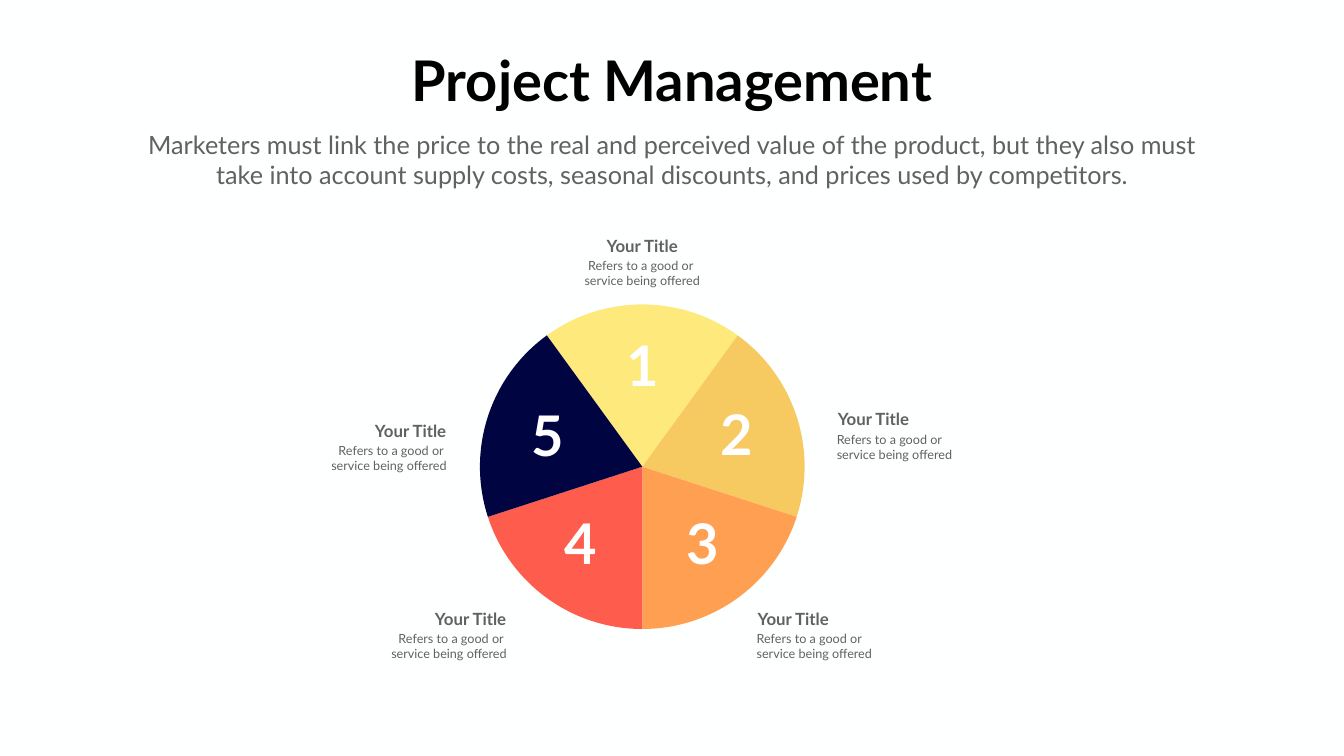
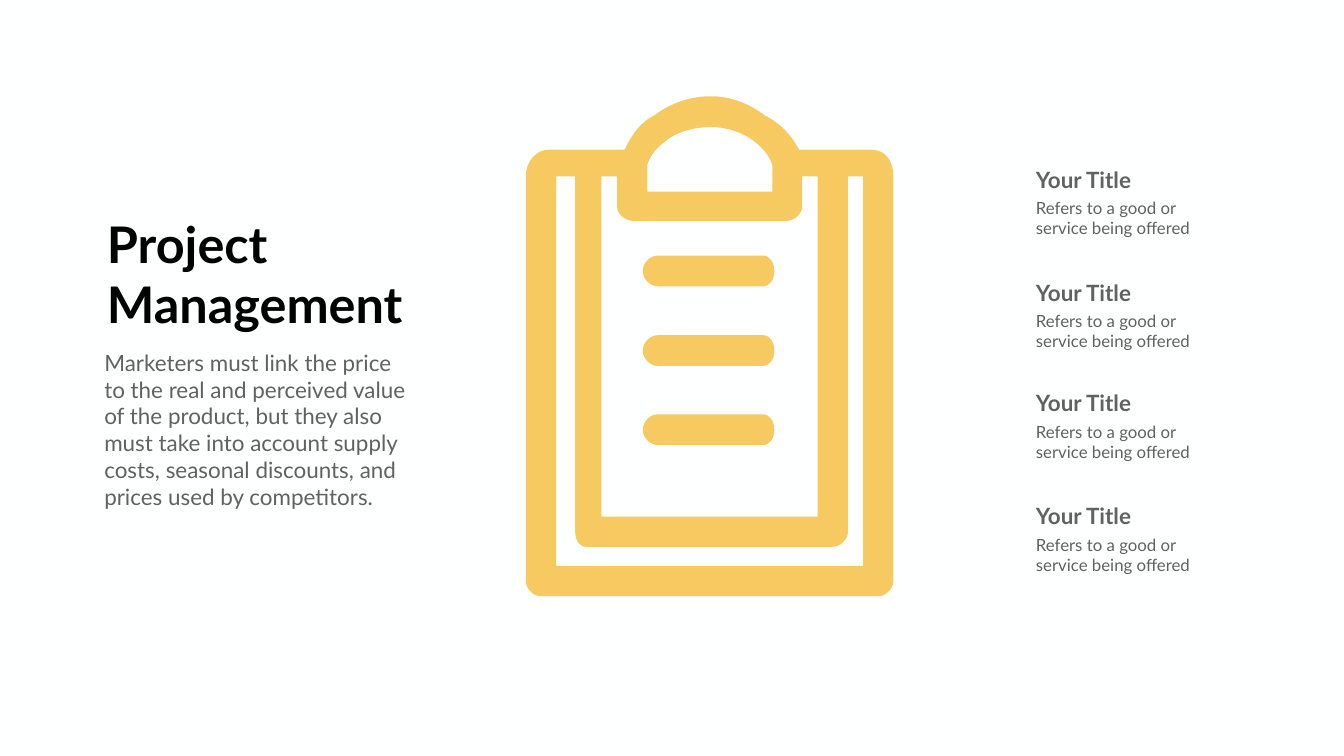
from math import cos, sin, tan, radians

from pptx import Presentation
from pptx.dml.color import RGBColor
from pptx.enum.text import MSO_ANCHOR, MSO_AUTO_SIZE, PP_ALIGN
from pptx.oxml.ns import qn
from pptx.util import Inches, Pt

FONT = "Lato"
BACKGROUND = RGBColor(0xFE, 0xFF, 0xFF)
BLACK = RGBColor(0x00, 0x00, 0x00)
WHITE = RGBColor(0xFF, 0xFF, 0xFF)
GREY = RGBColor(0x61, 0x61, 0x61)
YELLOW = RGBColor(0xFE, 0xEA, 0x7C)
GOLD = RGBColor(0xF7, 0xCA, 0x61)
ORANGE = RGBColor(0xFF, 0x9F, 0x52)
RED = RGBColor(0xFE, 0x5D, 0x4D)
NAVY = RGBColor(0x00, 0x05, 0x42)
LEFT, CENTER, RIGHT = PP_ALIGN.LEFT, PP_ALIGN.CENTER, PP_ALIGN.RIGHT

INTRO = ("Marketers must link the price to the real and perceived value of the product, "
         "but they also must take into account supply costs, seasonal discounts, "
         "and prices used by competitors.")
LABEL = "Your Title"
DETAIL = ["Refers to a good or", "service being offered"]
SPACED_DETAIL = ["Refers to a good or ", "service being offered"]


def write(shapes, box, lines, size, color=GREY, bold=False, align=LEFT, wrap=True, title=False):
    box = [Inches(v) for v in box]
    sp = shapes.title if title else shapes.add_textbox(*box)
    sp.left, sp.top, sp.width, sp.height = box
    tf = sp.text_frame
    tf.word_wrap = wrap
    tf.auto_size = MSO_AUTO_SIZE.SHAPE_TO_FIT_TEXT
    tf.vertical_anchor = MSO_ANCHOR.TOP
    for i, line in enumerate(lines):
        p = tf.paragraphs[0] if i == 0 else tf.add_paragraph()
        p.alignment = align
        r = p.add_run()
        r.text = line
        r.font.name = FONT
        r.font.size = Pt(size)
        r.font.bold = bold
        r.font.color.rgb = color


def draw(shapes, contours, color):
    builder = None
    for contour in contours:
        ends = [(Inches(step[-2]), Inches(step[-1])) for step in contour]
        if builder is None:
            builder = shapes.build_freeform(*ends[0])
        else:
            builder.move_to(*ends[0])
        builder.add_line_segments(ends[1:], close=True)
    sp = builder.convert_to_shape()
    segments = list(sp._element.iter(qn("a:lnTo")))
    steps = [step for contour in contours for step in contour[1:]]
    for segment, step in zip(segments, steps):
        if len(step) == 6:
            segment.tag = qn("a:cubicBezTo")
            for j in (0, 1):
                pt = segment.makeelement(qn("a:pt"))
                pt.set("x", str(Inches(step[2 * j]) - sp.left))
                pt.set("y", str(Inches(step[2 * j + 1]) - sp.top))
                segment.insert(j, pt)
    sp.shadow.inherit = False
    sp.fill.solid()
    sp.fill.fore_color.rgb = color
    sp.line.fill.background()


prs = Presentation()
prs.slide_width = Inches(26.66)
prs.slide_height = Inches(15)
fill = prs.slide_master.background.fill
fill.solid()
fill.fore_color.rgb = BACKGROUND
title_only = prs.slide_layouts[5]

s = prs.slides.add_slide(title_only)
write(s.shapes, (7.95, 0.85, 10.76, 1.45), ["Project Management"], 80, BLACK, True, CENTER,
      wrap=False, title=True)
write(s.shapes, (2.68, 2.51, 21.3, 1.31), [INTRO], 36, align=CENTER)

cx, cy, radius = 12.74, 9.26, 3.22
sectors = [
    (YELLOW, (12.33, 6.51), (11.89, 4.62), CENTER),
    (GOLD, (14.18, 7.88), (16.52, 8.07), LEFT),
    (ORANGE, (13.51, 10.05), (14.93, 12.02), LEFT),
    (RED, (11.1, 10.05), (8.44, 12.02), RIGHT),
    (NAVY, (10.44, 7.9), (7.25, 8.29), RIGHT),
]
detail_shift = {LEFT: -0.02, CENTER: -0.45, RIGHT: -0.89}
sweep = 360 // len(sectors)
for i, (color, number_at, (x, y), align) in enumerate(sectors):
    start = -90 - sweep // 2 + i * sweep
    end = start + sweep
    stops = [start] + [a for a in range(-90, 271, 90) if start < a < end] + [end]
    angles = [radians(a) for a in stops]
    wedge = [(cx, cy), (cx + radius * cos(angles[0]), cy + radius * sin(angles[0]))]
    for a, b in zip(angles, angles[1:]):
        k = 4 / 3 * tan((b - a) / 4)
        wedge.append((cx + radius * (cos(a) - k * sin(a)), cy + radius * (sin(a) + k * cos(a)),
                      cx + radius * (cos(b) + k * sin(b)), cy + radius * (sin(b) - k * cos(b)),
                      cx + radius * cos(b), cy + radius * sin(b)))
    draw(s.shapes, [wedge], color)
    write(s.shapes, (*number_at, 0.85, 1.45), [str(i + 1)], 80, WHITE, True, CENTER, wrap=False)
    group = s.shapes.add_group_shape().shapes
    write(group, (x, y, 1.7, 0.5), [LABEL], 24, bold=True, align=align)
    write(group, (x + detail_shift[align], y + 0.45, 2.6, 0.71),
          DETAIL if align == LEFT else SPACED_DETAIL, 18, align=align)

s = prs.slides.add_slide(title_only)
write(s.shapes, (2.02, 4.17, 6.2, 2.52), ["Project", "Management"], 72, BLACK, True,
      wrap=False, title=True)
write(s.shapes, (1.97, 6.87, 6.32, 3.33), [INTRO], 32)

board = [
    (17.27, 2.97), (15.85, 2.97), (15.69, 2.67, 15.47, 2.44, 15.17, 2.29),
    (14.87, 2.06, 14.49, 1.91, 14.11, 1.91), (13.66, 1.91, 13.28, 2.06, 12.98, 2.29),
    (12.68, 2.44, 12.54, 2.67, 12.39, 2.97), (10.88, 2.97),
    (10.65, 2.97, 10.43, 3.19, 10.43, 3.5), (10.43, 11.53),
    (10.43, 11.68, 10.58, 11.83, 10.73, 11.83), (17.42, 11.83),
    (17.57, 11.83, 17.72, 11.68, 17.72, 11.53), (17.72, 3.5),
    (17.72, 3.19, 17.57, 2.97, 17.27, 2.97),
]
clip_hole = [
    (12.84, 3.27), (12.91, 3.04, 13.07, 2.89, 13.28, 2.74),
    (13.51, 2.59, 13.81, 2.52, 14.11, 2.52), (14.34, 2.52, 14.64, 2.59, 14.87, 2.74),
    (15.09, 2.89, 15.24, 3.04, 15.32, 3.27), (15.32, 3.8), (12.84, 3.8),
]
page = [
    (11.93, 3.5), (12.24, 3.5), (12.24, 4.1), (12.24, 4.24, 12.39, 4.39, 12.61, 4.39),
    (15.55, 4.39), (15.77, 4.39, 15.91, 4.24, 15.91, 4.1), (15.91, 3.5),
    (16.22, 3.5), (16.22, 10.25), (11.93, 10.25),
]
margin = [
    (17.12, 11.23), (11.03, 11.23), (11.03, 3.5), (11.41, 3.5), (11.41, 10.55),
    (11.41, 10.7, 11.48, 10.85, 11.63, 10.85), (16.52, 10.85),
    (16.67, 10.85, 16.82, 10.7, 16.82, 10.55), (16.82, 3.5), (17.12, 3.5),
]
clipboard = s.shapes.add_group_shape().shapes
draw(clipboard, [board, clip_hole, page, margin], GOLD)
for top in (5.07, 6.65, 8.22):
    mid, bottom = top + 0.31, top + 0.61
    text_line = [
        (13.05, bottom), (15.13, bottom),
        (15.28, bottom, 15.36, bottom - 0.15, 15.36, mid),
        (15.36, top + 0.15, 15.28, top, 15.13, top), (13.05, top),
        (12.89, top, 12.75, top + 0.15, 12.75, mid),
        (12.75, bottom - 0.15, 12.89, bottom, 13.05, bottom),
    ]
    draw(clipboard, [text_line], GOLD)

for y in (3.24, 5.48, 7.68, 9.92):
    group = s.shapes.add_group_shape().shapes
    write(group, (20.45, y, 2.35, 0.61), [LABEL], 32, bold=True)
    write(group, (20.45, y + 0.63, 3.59, 0.89), DETAIL, 24)

prs.save("out.pptx")
